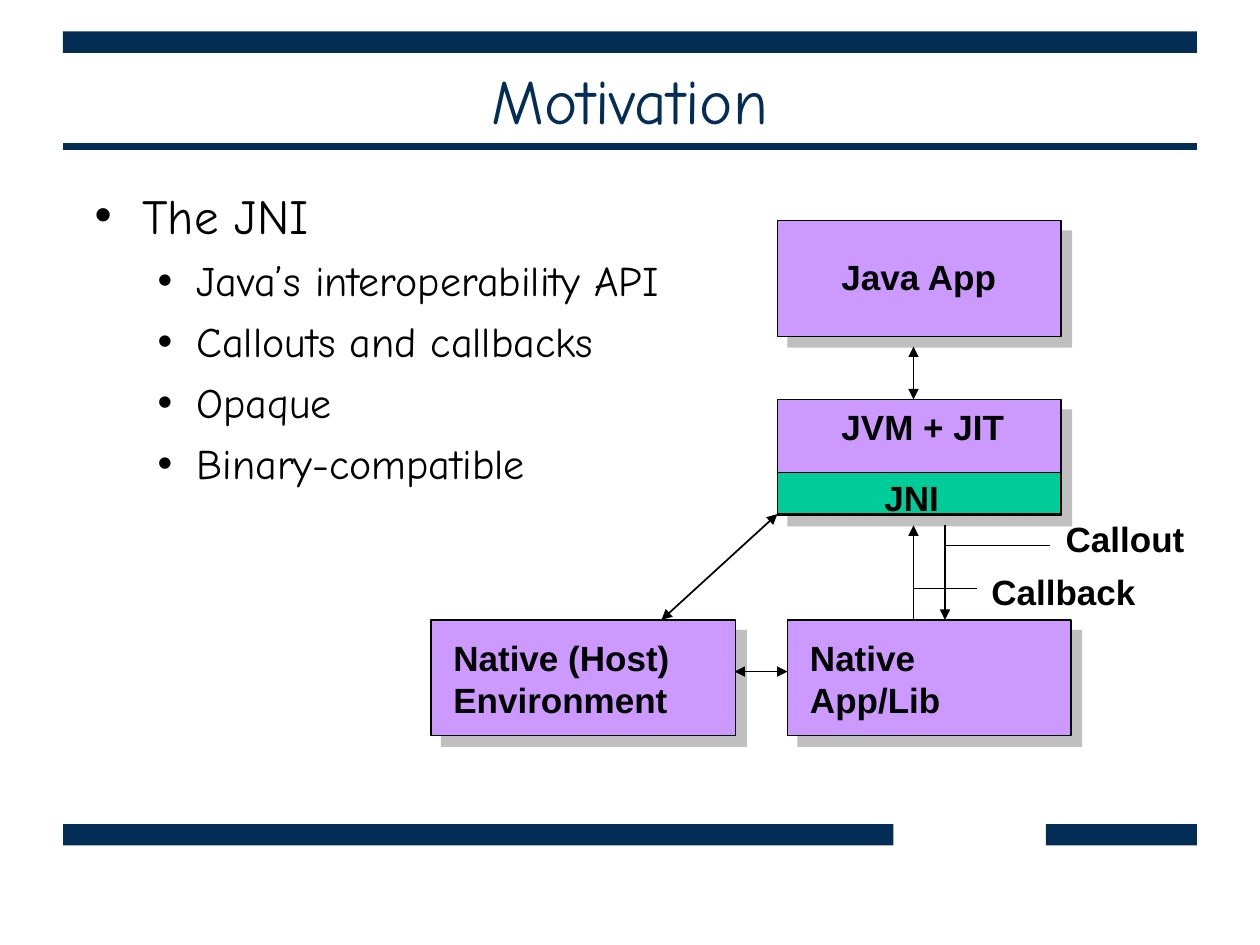
from lxml import etree
from pptx import Presentation, util as u
from pptx.dml.color import RGBColor
from pptx.enum import shapes, text
from pptx.oxml import ns

NAVY, BLACK, PURPLE, GREEN, GRAY = "042D56", "000000", "CC99FF", "00CC99", "808080"
BODY_FONT, LABEL_FONT = "Comic Neue", "Arial"


def color(value):
    return RGBColor.from_string(value)


def add_xml(parent, tag, **attributes):
    return etree.SubElement(parent, ns.qn(tag), attributes)


def write(paragraph, words, size=20, font=LABEL_FONT, fill=BLACK, bold=False,
          align=text.PP_ALIGN.LEFT, before=0):
    paragraph.alignment = align
    paragraph.space_before = u.Pt(before)
    run = paragraph.add_run()
    run.text = words
    run.font.size = u.Pt(size)
    run.font.name = font
    run.font.bold = bold
    run.font.color.rgb = color(fill)


class SlideBuilder:
    """Draws the elements of one slide in a shared style."""

    def __init__(self, slide):
        self.slide = slide

    def place(self, shape, left, top, width, height):
        shape.left, shape.top = u.Inches(left), u.Inches(top)
        shape.width, shape.height = u.Inches(width), u.Inches(height)

    def title(self, words, *place):
        shape = self.slide.shapes.title
        self.place(shape, *place)
        shape.text_frame.vertical_anchor = text.MSO_ANCHOR.MIDDLE
        write(shape.text_frame.paragraphs[0], words, size=36, font=BODY_FONT,
              fill=NAVY, align=text.PP_ALIGN.CENTER)

    def bullets(self, items, *place):
        """items holds pairs of level and words."""
        shape = self.slide.placeholders[1]
        self.place(shape, *place)
        frame = shape.text_frame
        frame.auto_size = text.MSO_AUTO_SIZE.NONE
        frame.margin_left = frame.margin_right = 0
        for index, (level, words) in enumerate(items):
            paragraph = frame.add_paragraph() if index else frame.paragraphs[0]
            margin, hanging, size = ((0.38, 0.38, 28), (0.81, 0.31, 24))[level]
            paragraph.level = level
            properties = paragraph._p.get_or_add_pPr()
            properties.set("marL", str(u.Inches(margin)))
            properties.set("indent", str(-u.Inches(hanging)))
            bullet_color = add_xml(properties, "a:buClr")
            add_xml(bullet_color, "a:srgbClr", val=BLACK)
            add_xml(properties, "a:buFont", typeface="Arial")
            add_xml(properties, "a:buChar", char="•")
            write(paragraph, words, size=size, font=BODY_FONT, before=6 if index else 0)

    def rectangle(self, fill, *place, line_width=None, shadow=False):
        shape = self.slide.shapes.add_shape(shapes.MSO_SHAPE.RECTANGLE, *map(u.Inches, place))
        shape.shadow.inherit = False
        shape.fill.solid()
        shape.fill.fore_color.rgb = color(fill)
        if line_width:
            shape.line.color.rgb = color(BLACK)
            shape.line.width = u.Pt(line_width)
        else:
            shape.line.fill.background()
        if shadow:
            effects = shape._element.spPr.find(ns.qn("a:effectLst"))
            outer = add_xml(effects, "a:outerShdw", blurRad="0", dist=str(u.Pt(8.5)),
                            dir=str(45 * 60000), algn="ctr", rotWithShape="0")
            shade = add_xml(outer, "a:srgbClr", val=GRAY)
            add_xml(shade, "a:alpha", val="50000")

    def label(self, words, *place, wrap=True, align=text.PP_ALIGN.LEFT):
        frame = self.slide.shapes.add_textbox(*map(u.Inches, place)).text_frame
        frame.word_wrap = wrap
        frame.auto_size = text.MSO_AUTO_SIZE.SHAPE_TO_FIT_TEXT
        write(frame.paragraphs[0], words, bold=True, align=align)

    def line(self, start, end, stroke=BLACK, width=1, head=False, tail=False):
        connector = self.slide.shapes.add_connector(
            shapes.MSO_CONNECTOR.STRAIGHT, *map(u.Inches, (*start, *end)))
        connector.line.color.rgb = color(stroke)
        connector.line.width = u.Pt(width)
        outline = connector.line._get_or_add_ln()
        for tag, wanted in (("a:headEnd", head), ("a:tailEnd", tail)):
            if wanted:
                add_xml(outline, tag, type="triangle")
        add_xml(connector._element.spPr, "a:effectLst")


def main():
    presentation = Presentation()
    presentation.slide_width, presentation.slide_height = u.Inches(10), u.Inches(7.5)
    builder = SlideBuilder(presentation.slides.add_slide(presentation.slide_layouts[1]))

    builder.line((0.5, 1.16), (9.5, 1.16), stroke=NAVY, width=4)
    for left, top, width in ((0.5, 0.25, 9), (0.5, 6.54, 6.59), (8.3, 6.54, 1.2)):
        builder.rectangle(NAVY, left, top, width, 0.17)

    builder.title("Motivation", 0.75, 0.41, 8.5, 0.75)
    builder.bullets([(0, "The JNI"),
                     (1, "Java’s interoperability API"),
                     (1, "Callouts and callbacks"),
                     (1, "Opaque"),
                     (1, "Binary-compatible")], 0.75, 1.42, 8.5, 2.92)

    components = (
        ("Java App", (6.17, 1.75, 2.25), (6.58, 1.98, 2.08, 0.44)),
        ("Native (Host) Environment", (3.42, 4.92, 2.42), (3.5, 5, 2.33, 0.77)),
        ("Native App/Lib", (6.25, 4.92, 2.25), (6.33, 5, 2.08, 0.77)),
        ("JVM + JIT", (6.17, 3.17, 2.25), (6.58, 3.17, 2.08, 0.44)),
    )
    for words, box, label_place in components:
        builder.rectangle(PURPLE, *box, 0.92, line_width=0.75, shadow=True)
        builder.label(words, *label_place)

    for start, end in (((7.25, 2.75), (7.25, 3.17)),
                       ((5.83, 5.33), (6.25, 5.33)),
                       ((5.25, 4.92), (6.17, 4.08))):
        builder.line(start, end, head=True, tail=True)

    calls = (
        ("Callout", (7.5, 4.17), (7.5, 4.92), (7.5, 4.33), (8.33, 4.33), (8.35, 4.06, 1.16)),
        ("Callback", (7.25, 4.92), (7.25, 4.17), (7.25, 4.67), (7.75, 4.67), (7.75, 4.48, 1.38)),
    )
    for words, start, end, leader_start, leader_end, label_place in calls:
        builder.line(start, end, tail=True)
        builder.line(leader_start, leader_end)
        builder.label(words, *label_place, 0.44, wrap=False, align=text.PP_ALIGN.CENTER)

    builder.rectangle(GREEN, 6.17, 3.75, 2.25, 0.33, line_width=1)
    builder.label("JNI", 6.92, 3.73, 2.08, 0.44)

    presentation.save("out.pptx")


if __name__ == "__main__":
    main()
